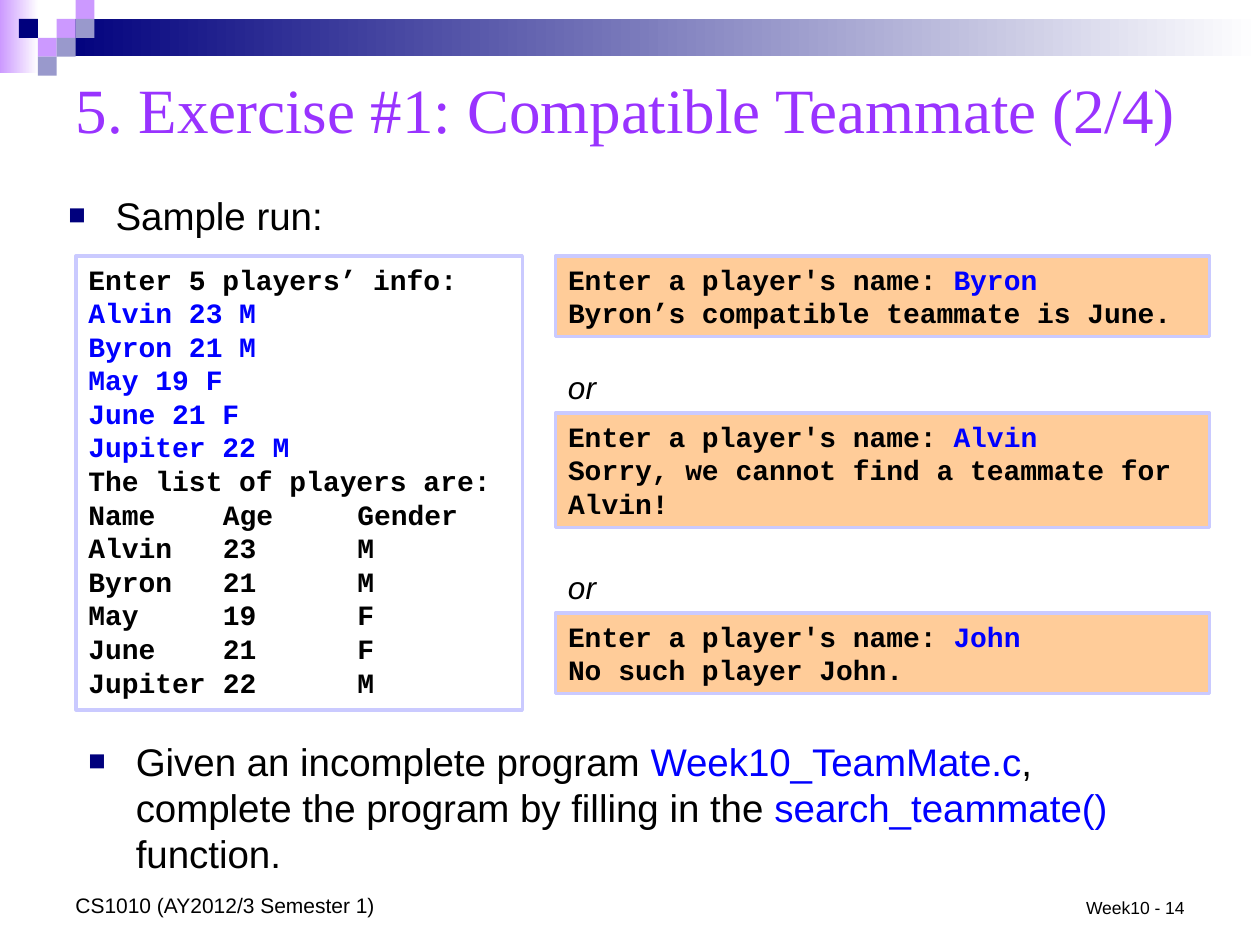
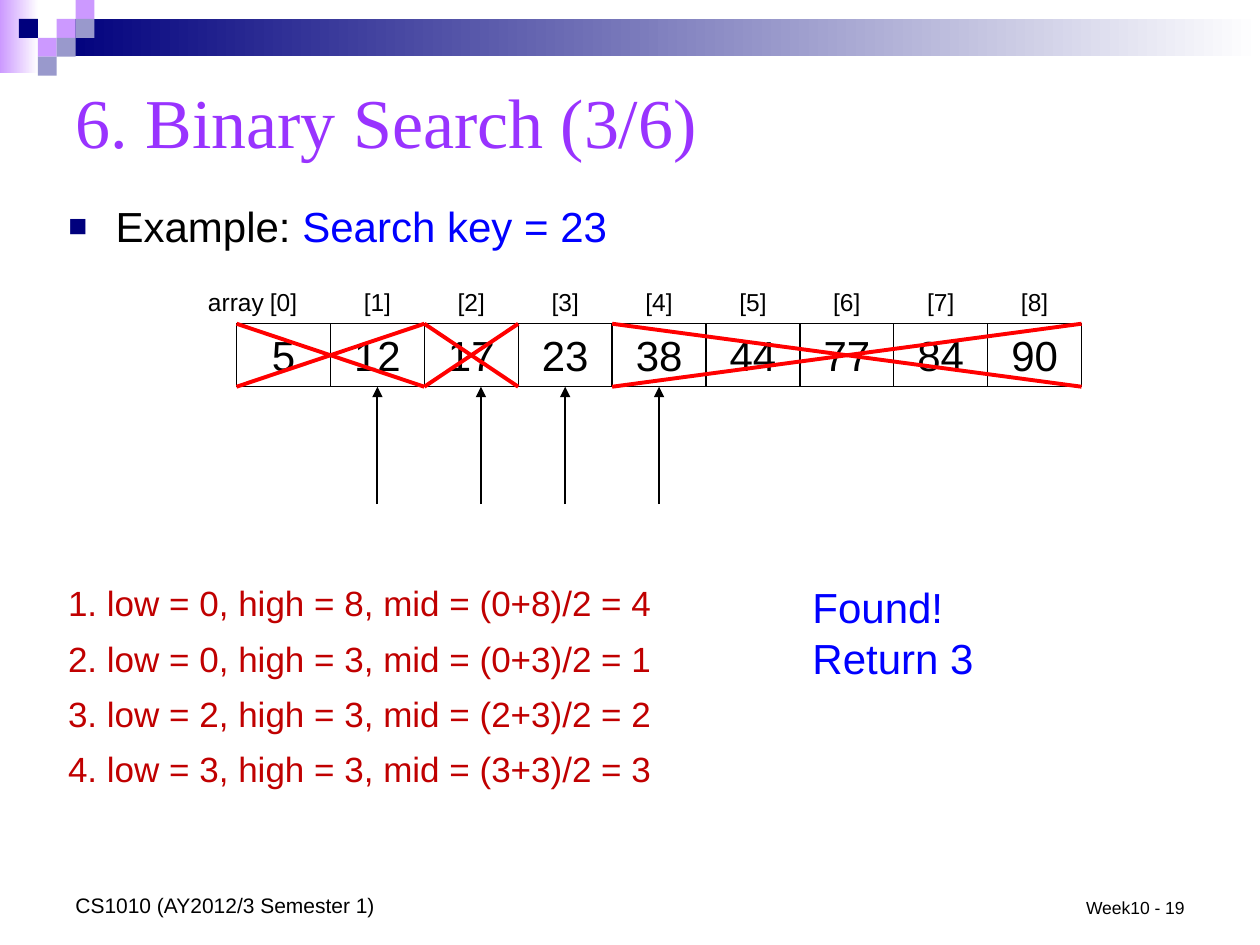
from lxml import etree
from pptx import Presentation
from pptx.dml.color import RGBColor
from pptx.enum import shapes, text
from pptx.oxml import ns
from pptx.util import Pt

BLACK = RGBColor(0x00, 0x00, 0x00)
WHITE = RGBColor(0xFF, 0xFF, 0xFF)
BLUE = RGBColor(0x00, 0x00, 0xFF)
NAVY = RGBColor(0x00, 0x00, 0x7D)
VIOLET = RGBColor(0xCC, 0x99, 0xFF)
SLATE = RGBColor(0x99, 0x99, 0xCC)
PURPLE = RGBColor(0x99, 0x33, 0xFF)
LAVENDER = RGBColor(0xCA, 0xCA, 0xFF)
PEACH = RGBColor(0xFF, 0xCC, 0x99)
RED = RGBColor(0xFF, 0x00, 0x00)
DARK_RED = RGBColor(0xC0, 0x00, 0x00)

BODY_FONT = "Arial"
CODE_FONT = "Courier New"
TITLE_FONT = "Times New Roman"
CODE_SIZE = 16
CODE_TABS = (76.8, 153.6)

SQUARE = 10.8
SQUARES = [(3, 1, VIOLET), (4, 0, VIOLET), (4, 1, SLATE), (2, 2, VIOLET),
           (1, 1, NAVY), (3, 2, SLATE), (2, 3, SLATE)]

CELL_LEFT, CELL_TOP, CELL_WIDTH, CELL_HEIGHT = 135.2, 185, 53.65, 36
CELL_BOTTOM = CELL_TOP + CELL_HEIGHT


def add_element(parent, tag, **attributes):
    return etree.SubElement(parent, ns.qn(tag), attributes)


def write(frame, paragraphs, size, font=BODY_FONT, bold=False, italic=False,
          align=text.PP_ALIGN.LEFT, anchor=text.MSO_ANCHOR.TOP):
    frame.word_wrap = True
    frame.auto_size = text.MSO_AUTO_SIZE.NONE
    frame.vertical_anchor = anchor
    for index, runs in enumerate(paragraphs):
        paragraph = frame.add_paragraph() if index else frame.paragraphs[0]
        paragraph.alignment = align
        for content, color in runs:
            run = paragraph.add_run()
            run.text = content
            run.font.name = font
            run.font.size = Pt(size)
            run.font.bold = bold
            run.font.italic = italic
            run.font.color.rgb = color


def add_text(slide, left, top, width, height, paragraphs, size, **style):
    box = slide.shapes.add_textbox(Pt(left), Pt(top), Pt(width), Pt(height))
    write(box.text_frame, paragraphs, size, **style)
    return box


def add_rectangle(slide, left, top, width, height, fill=None, line=None, line_width=1):
    shape = slide.shapes.add_shape(shapes.MSO_SHAPE.RECTANGLE,
                                   Pt(left), Pt(top), Pt(width), Pt(height))
    shape.shadow.inherit = False
    if fill is None:
        shape.fill.background()
    else:
        shape.fill.solid()
        shape.fill.fore_color.rgb = fill
    if line is None:
        shape.line.fill.background()
    else:
        shape.line.color.rgb = line
        shape.line.width = Pt(line_width)
    return shape


def add_fading_band(slide, left, top, width, height, color):
    band = add_rectangle(slide, left, top, width, height)
    band.fill.gradient()
    band.fill.gradient_angle = 0
    for stop, stop_color in zip(band.fill.gradient_stops, (color, WHITE)):
        stop.color.rgb = stop_color


def add_line(slide, start, end, color, width, arrow=False):
    points = [Pt(value) for value in (*start, *end)]
    line = slide.shapes.add_connector(shapes.MSO_CONNECTOR.STRAIGHT, *points)
    line.line.color.rgb = color
    line.line.width = Pt(width)
    if arrow:
        add_element(line.line._get_or_add_ln(), "a:tailEnd", type="triangle")
    add_element(line._element.spPr, "a:effectLst")
    return line


def add_bullet(slide, left, top, height, runs, size, line_spacing=1.0):
    box = add_text(slide, left, top, 648, height, [runs], size)
    paragraph = box.text_frame.paragraphs[0]
    paragraph.line_spacing = line_spacing
    properties = paragraph._p.get_or_add_pPr()
    properties.set("marL", str(Pt(27)))
    properties.set("indent", str(Pt(-27)))
    color = add_element(properties, "a:buClr")
    add_element(color, "a:srgbClr", val=str(NAVY))
    add_element(properties, "a:buSzPct", val="75000")
    add_element(properties, "a:buFont", typeface=BODY_FONT)
    add_element(properties, "a:buChar", char="■")


def add_code_box(slide, left, top, width, height, fill, paragraphs):
    box = add_rectangle(slide, left, top, width, height, fill, LAVENDER, 2)
    write(box.text_frame, paragraphs, CODE_SIZE, font=CODE_FONT, bold=True)
    return box


def set_columns(paragraph):
    tabs = add_element(paragraph._p.get_or_add_pPr(), "a:tabLst")
    for position in CODE_TABS:
        add_element(tabs, "a:tab", pos=str(Pt(position)), algn="l")


def add_sample_answer(slide, top, height, name, answer):
    add_code_box(slide, 317.5, top, 373.7, height, PEACH,
                 [[("Enter a player's name: ", BLACK), (name, BLUE)], [(answer, BLACK)]])


def add_cross(slide, first, last):
    left = CELL_LEFT + first * CELL_WIDTH
    right = CELL_LEFT + (last + 1) * CELL_WIDTH
    add_line(slide, (left, CELL_TOP), (right, CELL_BOTTOM), RED, 2.25)
    add_line(slide, (left, CELL_BOTTOM), (right, CELL_TOP), RED, 2.25)


def add_base_slide(presentation, title, title_size, title_top, title_height, number):
    slide = presentation.slides.add_slide(presentation.slide_layouts[5])
    add_fading_band(slide, 0, 0, 22, 42, VIOLET)
    add_fading_band(slide, 3 * SQUARE, SQUARE, 687.6, 21.5, NAVY)
    for column, row, color in SQUARES:
        add_rectangle(slide, column * SQUARE, row * SQUARE, SQUARE, SQUARE, color)
    heading = slide.shapes.title
    heading.left, heading.top = Pt(36), Pt(title_top)
    heading.width, heading.height = Pt(648), Pt(title_height)
    write(heading.text_frame, [[(title, PURPLE)]], title_size, font=TITLE_FONT,
          anchor=text.MSO_ANCHOR.MIDDLE)
    add_text(slide, 36, 492, 228, 36, [[("CS1010 (AY2012/3 Semester 1)", BLACK)]], 12,
             anchor=text.MSO_ANCHOR.BOTTOM)
    add_text(slide, 516, 492, 168, 36, [[(f"Week10 - {number}", BLACK)]], 10,
             align=text.PP_ALIGN.RIGHT, anchor=text.MSO_ANCHOR.BOTTOM)
    return slide


def build_teammate_slide(presentation):
    slide = add_base_slide(presentation, "5. Exercise #1: Compatible Teammate (2/4)",
                           36, 30, 63.5, 14)
    add_bullet(slide, 32, 106, 40, [("Sample run:", BLACK)], 22)
    add_bullet(slide, 43.5, 418, 87, [
        ("Given an incomplete program ", BLACK), ("Week10_TeamMate.c", BLUE),
        (", complete the program by filling in the ", BLACK),
        ("search_teammate() ", BLUE), ("function.", BLACK)], 22)

    players = [("Alvin", 23, "M"), ("Byron", 21, "M"), ("May", 19, "F"),
               ("June", 21, "F"), ("Jupiter", 22, "M")]
    rows = [("Name", "Age", "Gender"), *players]
    lines = [[("Enter 5 players’ info:", BLACK)]]
    lines += [[(f"{name} {age} {gender}", BLUE)] for name, age, gender in players]
    lines += [[("The list of players are:", BLACK)]]
    lines += [[(f"{name}\t{age}\t{gender}", BLACK)] for name, age, gender in rows]
    listing = add_code_box(slide, 43.5, 146.2, 255, 259.4, WHITE, lines)
    for paragraph in listing.text_frame.paragraphs[-len(rows):]:
        set_columns(paragraph)

    add_sample_answer(slide, 146.2, 46, "Byron", "Byron’s compatible teammate is June.")
    add_sample_answer(slide, 236, 65.5, "Alvin", "Sorry, we cannot find a teammate for Alvin!")
    add_sample_answer(slide, 350.2, 46, "John", "No such player John.")
    for top in (207, 321.2):
        add_text(slide, 317.5, top, 58, 29, [[("or", BLACK)]], 18, italic=True)


def build_search_slide(presentation):
    slide = add_base_slide(presentation, "6. Binary Search (3/6)", 40, 36, 65.5, 19)
    add_bullet(slide, 32, 114, 40, [("Example: ", BLACK), ("Search key = 23", BLUE)],
               24, line_spacing=0.9)

    cells = []
    center = text.PP_ALIGN.CENTER
    for index, value in enumerate((5, 12, 17, 23, 38, 44, 77, 84, 90)):
        left = CELL_LEFT + index * CELL_WIDTH
        cell = add_rectangle(slide, left, CELL_TOP, CELL_WIDTH, CELL_HEIGHT,
                             line=BLACK, line_width=0.75)
        write(cell.text_frame, [[(str(value), BLACK)]], 24, align=center)
        add_text(slide, left, 160.6, CELL_WIDTH, 24.4, [[(f"[{index}]", BLACK)]], 14,
                 align=center)
        cells.append(cell)
    add_text(slide, 108, 160.6, CELL_WIDTH, 24.4, [[("array", BLACK)]], 14, align=center)

    for first, last in ((4, 8), (0, 1), (2, 2)):
        add_cross(slide, first, last)

    for index, offset in ((4, 0), (1, 0), (2, 5.5), (3, 0)):
        x = CELL_LEFT + (index + 0.5) * CELL_WIDTH + offset
        arrow = add_line(slide, (x, 288), (x, CELL_BOTTOM), BLACK, 1.25, arrow=True)
        if not offset:
            arrow.end_connect(cells[index], 2)

    for step, (low, high) in enumerate(((0, 8), (0, 3), (2, 3), (3, 3))):
        formula = f"{step + 1}. low = {low}, high = {high}, mid = ({low}+{high})/2 = {(low + high) // 2}"
        add_text(slide, 31.8, 329 + step * 31.6, 371.5, 31.5, [[(formula, DARK_RED)]], 20)
    add_text(slide, 457.2, 329, 132.5, 65.5, [[("Found!", BLUE)], [("Return 3", BLUE)]], 24)


def main():
    presentation = Presentation()
    presentation.slide_width, presentation.slide_height = Pt(720), Pt(540)
    build_teammate_slide(presentation)
    build_search_slide(presentation)
    presentation.save("out.pptx")


if __name__ == "__main__":
    main()
